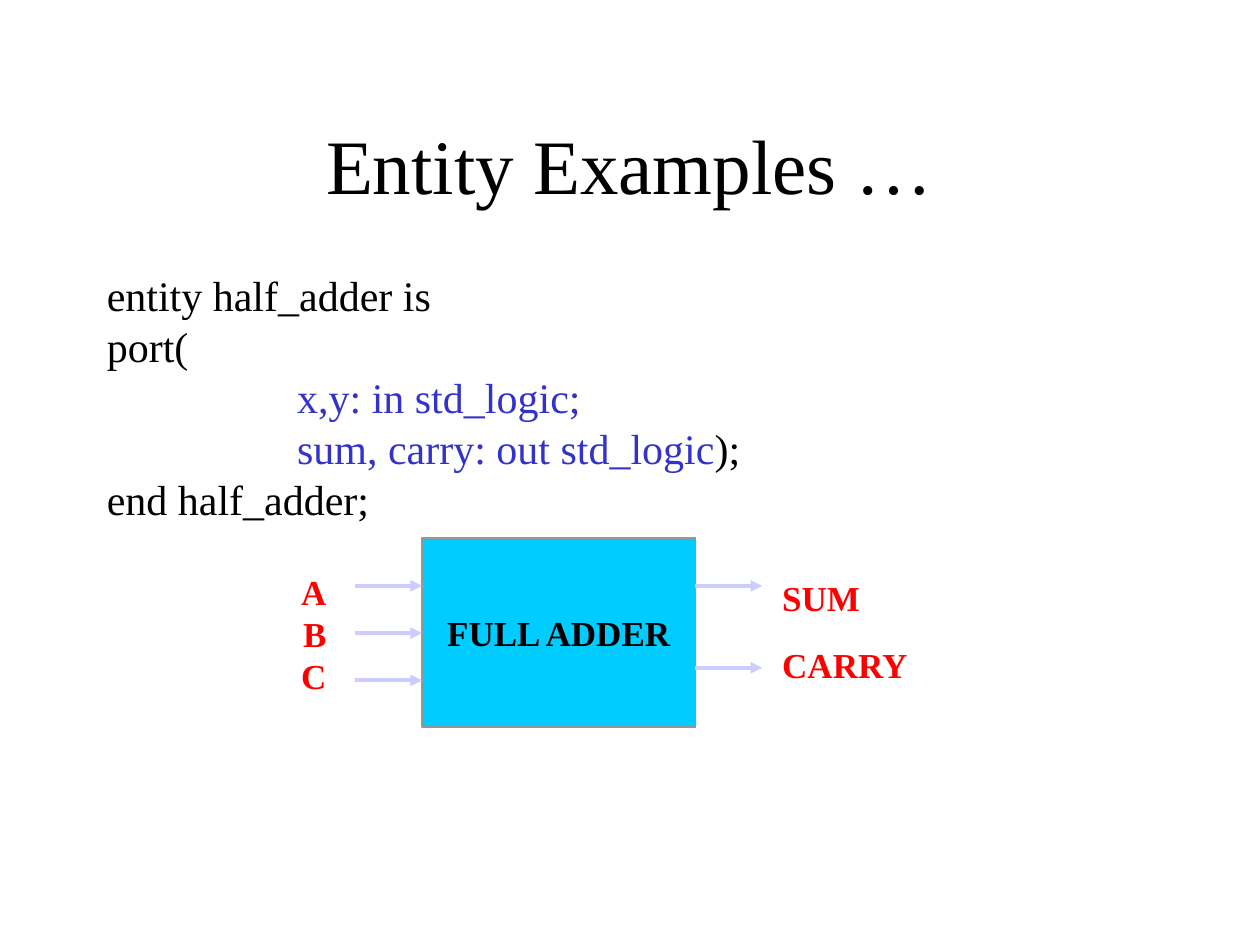
from lxml import etree
from pptx import Presentation
from pptx.dml.color import RGBColor
from pptx.enum import shapes, text
from pptx.oxml import ns
from pptx.util import Inches, Pt

BLACK = RGBColor(0x00, 0x00, 0x00)
BLUE = RGBColor(0x33, 0x33, 0xCC)
RED = RGBColor(0xFF, 0x00, 0x00)
CYAN = RGBColor(0x00, 0xCC, 0xFF)
GRAY = RGBColor(0x96, 0x96, 0x96)
LAVENDER = RGBColor(0xCC, 0xCC, 0xFF)
FONT = "Times New Roman"
LEFT, CENTER, RIGHT = text.PP_ALIGN.LEFT, text.PP_ALIGN.CENTER, text.PP_ALIGN.RIGHT

TITLE = "Entity Examples …"
# Each code line: indent in inches, then (text, colour) runs
CODE = [
    (0, [("entity half_adder is", BLACK)]),
    (0, [("port(", BLACK)]),
    (1.51, [("x,y: in std_logic;", BLUE)]),
    (1.51, [("sum, carry: out std_logic", BLUE), (");", BLACK)]),
    (0, [("end half_adder;", BLACK)]),
]
BLOCK_NAME = "FULL ADDER"
INPUTS = ["A", "B", "C"]
OUTPUTS = ["SUM", "CARRY"]

BLOCK_LEFT, BLOCK_TOP, BLOCK_WIDTH, BLOCK_HEIGHT = 3.35, 4.27, 2.17, 1.5
BLOCK_RIGHT = BLOCK_LEFT + BLOCK_WIDTH
ARROW_LENGTH = 0.53
FIRST_PORT_Y = 4.65
INPUT_STEP, OUTPUT_STEP = 0.375, 0.65


def write(frame, lines, size, color, align=LEFT, bold=False, wrap=False):
    frame.word_wrap = wrap
    for i, line in enumerate(lines):
        paragraph = frame.paragraphs[0] if i == 0 else frame.add_paragraph()
        paragraph.text = line
        paragraph.alignment = align
        font = paragraph.font
        font.name, font.size, font.bold = FONT, Pt(size), bold
        font.color.rgb = color


def add_label(slide, box, *args, **options):
    frame = slide.shapes.add_textbox(*map(Inches, box)).text_frame
    write(frame, *args, **options)
    return frame


def add_code(slide):
    frame = add_label(slide, (0.75, 2.17, 8.5, 2.08), [""] * len(CODE),
                      24, BLACK, wrap=True)
    for paragraph, (indent, runs) in zip(frame.paragraphs, CODE):
        paragraph.line_spacing = 0.8
        paragraph.space_before = Pt(6)
        paragraph._p.get_or_add_pPr().set("marL", str(Inches(indent)))
        for words, color in runs:
            run = paragraph.add_run()
            run.text = words
            run.font.color.rgb = color


def add_arrow(slide, left, y):
    arrow = slide.shapes.add_connector(
        shapes.MSO_CONNECTOR.STRAIGHT,
        Inches(left), Inches(y), Inches(left + ARROW_LENGTH), Inches(y))
    arrow.line.color.rgb = LAVENDER
    arrow.line.width = Pt(2.25)
    etree.SubElement(arrow.line._get_or_add_ln(), ns.qn("a:tailEnd"), type="triangle")
    etree.SubElement(arrow._element.spPr, ns.qn("a:effectLst"))


def add_block(slide):
    block = slide.shapes.add_shape(
        shapes.MSO_SHAPE.RECTANGLE,
        *map(Inches, (BLOCK_LEFT, BLOCK_TOP, BLOCK_WIDTH, BLOCK_HEIGHT)))
    block.shadow.inherit = False
    block.fill.solid()
    block.fill.fore_color.rgb = CYAN
    block.line.color.rgb = GRAY
    block.line.width = Pt(1)
    block.text_frame.vertical_anchor = text.MSO_ANCHOR.MIDDLE
    write(block.text_frame, [BLOCK_NAME], 20, BLACK, CENTER, bold=True)


def main():
    deck = Presentation()
    deck.slide_width, deck.slide_height = Inches(10), Inches(7.5)
    slide = deck.slides.add_slide(deck.slide_layouts[6])

    title = add_label(slide, (0.75, 0.67, 8.5, 1.25), [TITLE], 44, BLACK, CENTER, wrap=True)
    title.vertical_anchor = text.MSO_ANCHOR.MIDDLE
    add_code(slide)

    add_block(slide)
    for i in range(len(INPUTS)):
        add_arrow(slide, BLOCK_LEFT - ARROW_LENGTH, FIRST_PORT_Y + i * INPUT_STEP)
    for i in range(len(OUTPUTS)):
        add_arrow(slide, BLOCK_RIGHT, FIRST_PORT_Y + i * OUTPUT_STEP)

    add_label(slide, (2.29, 4.48, 0.4, 1.1), INPUTS, 20, RED, RIGHT, bold=True)
    outputs = add_label(slide, (6.11, 4.59, 1.2, 0.9), OUTPUTS, 20, RED, bold=True)
    for paragraph in outputs.paragraphs:
        paragraph.line_spacing = 0.8
    outputs.paragraphs[-1].space_before = Pt(19)

    deck.save("out.pptx")


if __name__ == "__main__":
    main()
